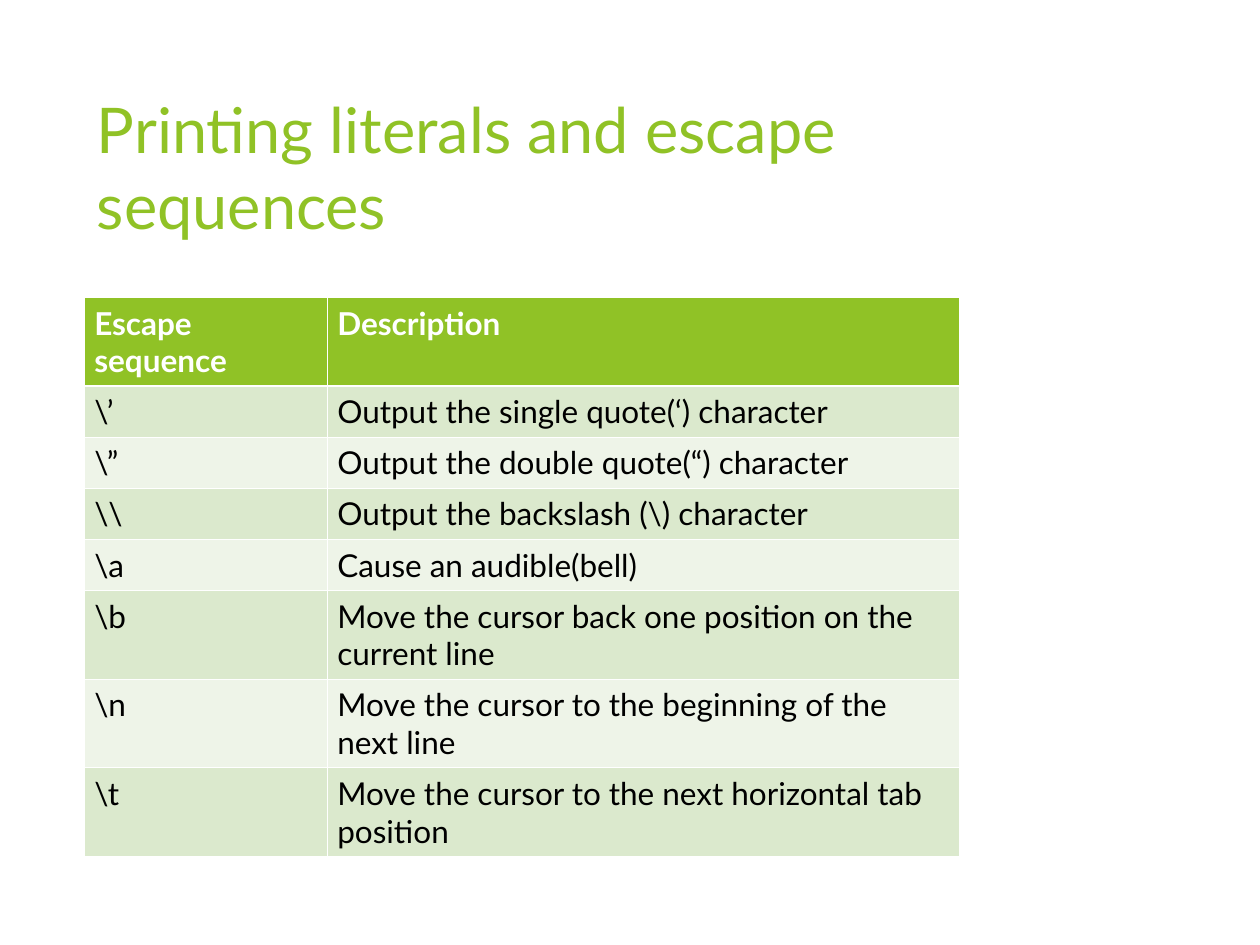
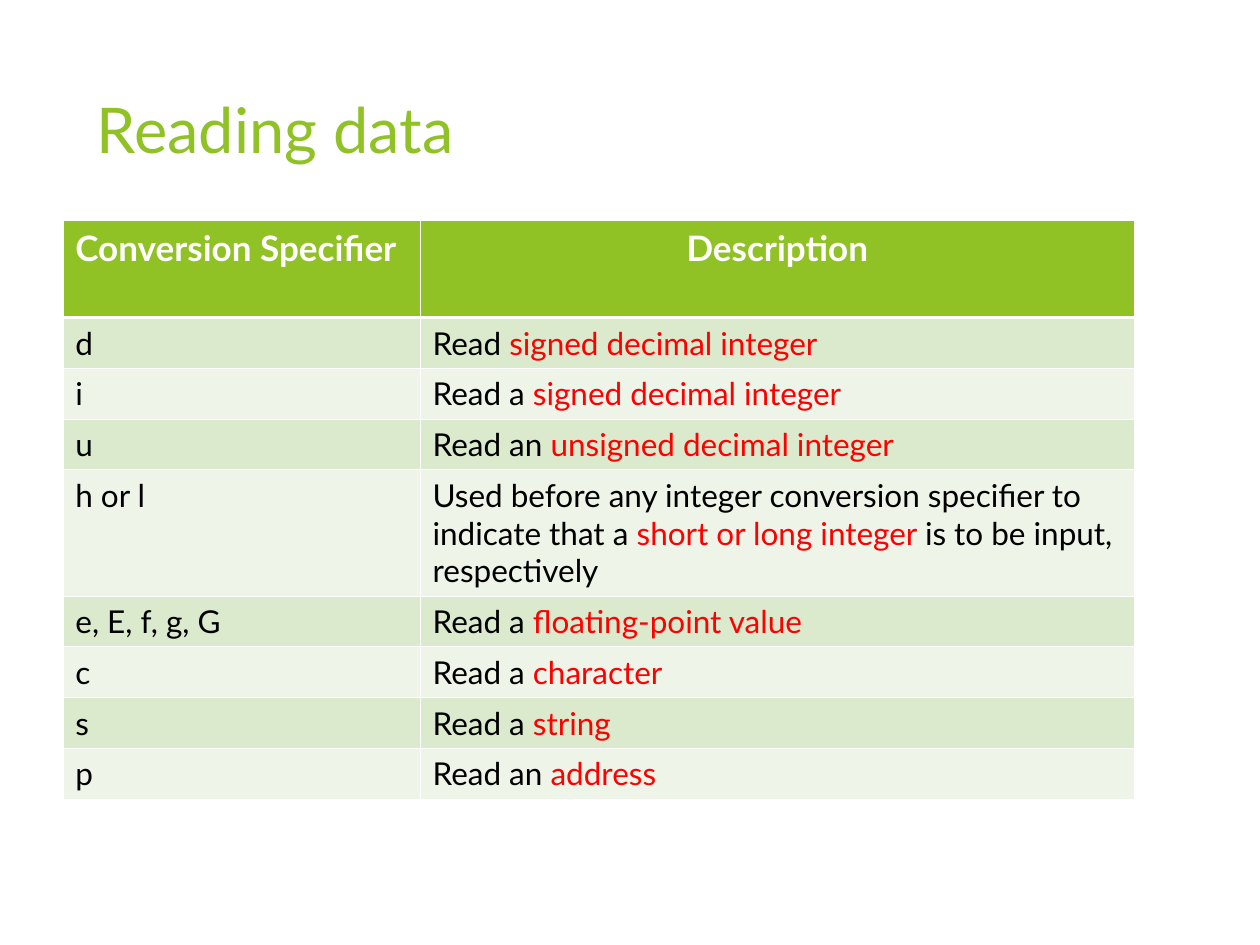
from lxml import etree
from pptx import Presentation
from pptx.dml.color import RGBColor
from pptx.enum.text import MSO_ANCHOR, MSO_AUTO_SIZE, PP_ALIGN
from pptx.oxml.ns import qn
from pptx.util import Cm, Pt

LEFT, CENTER = PP_ALIGN.LEFT, PP_ALIGN.CENTER
TOP, NO_FIT = MSO_ANCHOR.TOP, MSO_AUTO_SIZE.NONE
TITLE_ONLY = 5

FONT = "Lato"
GREEN, WHITE, BLACK, RED = "90C226", "FFFFFF", "000000", "FF0000"
BANDS = ("DBE9CD", "EEF4E8")
THIN, THICK = Pt(0.45), Pt(1.47)

ESCAPES = [
    (r"\’", "Output the single quote(‘) character"),
    (r"\”", "Output the double quote(“) character"),
    (r"\\", r"Output the backslash (\) character"),
    (r"\a", "Cause an audible(bell)"),
    (r"\b", "Move the cursor back one position on the current line"),
    (r"\n", "Move the cursor to the beginning of the next line"),
    (r"\t", "Move the cursor to the next horizontal tab position"),
]
# After the specifier, the parts of a description alternate black and red.
READS = [
    ("d", "Read ", "signed decimal integer"),
    ("i", "Read a ", "signed decimal integer"),
    ("u", "Read an ", "unsigned decimal integer"),
    ("h or l", "Used before any integer conversion specifier to indicate that a ",
     "short or long integer ", "is to be input, respectively"),
    ("e, E, f, g, G", "Read a ", "floating-point value"),
    ("c", "Read a ", "character"),
    ("s", "Read a ", "string"),
    ("p", "Read an ", "address"),
]


def color(code):
    return RGBColor.from_string(code)


class Deck:
    """Holds the shared style and the slide being built."""

    def __init__(self):
        self.prs = Presentation()
        self.prs.slide_width, self.prs.slide_height = Cm(25.4), Cm(19.05)
        self.slide = None

    def page(self, title):
        layout = self.prs.slide_layouts[TITLE_ONLY]
        self.slide = self.prs.slides.add_slide(layout)
        box = self.slide.shapes.title
        box.left, box.top = Cm(1.7), Cm(1.7)
        box.width, box.height = Cm(17.63), Cm(3.66)
        frame = box.text_frame
        frame.auto_size, frame.word_wrap = NO_FIT, True
        frame.vertical_anchor = TOP
        para = frame.paragraphs[0]
        para.alignment = LEFT
        self.run(para, title, 36, GREEN)

    def run(self, para, text, size, ink, bold=False):
        run = para.add_run()
        run.text = text
        font = run.font
        font.name, font.size, font.bold = FONT, Pt(size), bold
        font.color.rgb = color(ink)

    def edge(self, cell, side, width):
        line = etree.SubElement(cell._tc.get_or_add_tcPr(),
                                qn(f"a:ln{side}"), w=str(width))
        fill = etree.SubElement(line, qn("a:solidFill"))
        etree.SubElement(fill, qn("a:srgbClr"), val=WHITE)

    def cell(self, cell, row, parts, size, inset, align=LEFT):
        head = row == 0
        cell.margin_left = cell.margin_right = Cm(inset)
        cell.margin_top = cell.margin_bottom = Cm(0.13)
        cell.vertical_anchor = TOP
        widths = {"L": THIN, "R": THIN,
                  "T": THICK if row == 1 else THIN,
                  "B": THICK if head else THIN}
        for side, width in widths.items():
            self.edge(cell, side, width)
        cell.fill.solid()
        cell.fill.fore_color.rgb = color(GREEN if head else BANDS[(row - 1) % 2])
        para = cell.text_frame.paragraphs[0]
        para.alignment = align
        inks = (WHITE,) if head else (BLACK, RED)
        for i, text in enumerate(parts):
            self.run(para, text, size, inks[i % len(inks)], head)

    def table(self, rows, left, top, cols, highs, inset, size=18, align=LEFT):
        """Draw a two-column table; size and align apply to its header."""
        shape = self.slide.shapes.add_table(
            len(rows), len(cols), Cm(left), Cm(top), Cm(sum(cols)), Cm(sum(highs)))
        grid = shape.table
        for col, width in zip(grid.columns, cols):
            col.width = Cm(width)
        for r, (key, *parts) in enumerate(rows):
            grid.rows[r].height = Cm(highs[r])
            points = 18 if r else size
            self.cell(grid.cell(r, 0), r, [key], points, inset)
            self.cell(grid.cell(r, 1), r, parts, points, inset,
                      LEFT if r else align)


def main():
    deck = Deck()
    deck.page("Printing literals and escape sequences")
    deck.table([("Escape sequence", "Description")] + ESCAPES, 1.7, 6,
               (4.9, 12.73), [1.78] + [1.03] * 4 + [1.78] * 3, 0.2)
    deck.page("Reading data")
    deck.table([("Conversion Specifier", "Description")] + READS, 1.27, 4.45,
               (7.2, 14.4), [1.95] + [1.02] * 3 + [2.54] + [1.02] * 4, 0.25,
               20, CENTER)
    deck.prs.save("out.pptx")


if __name__ == "__main__":
    main()
